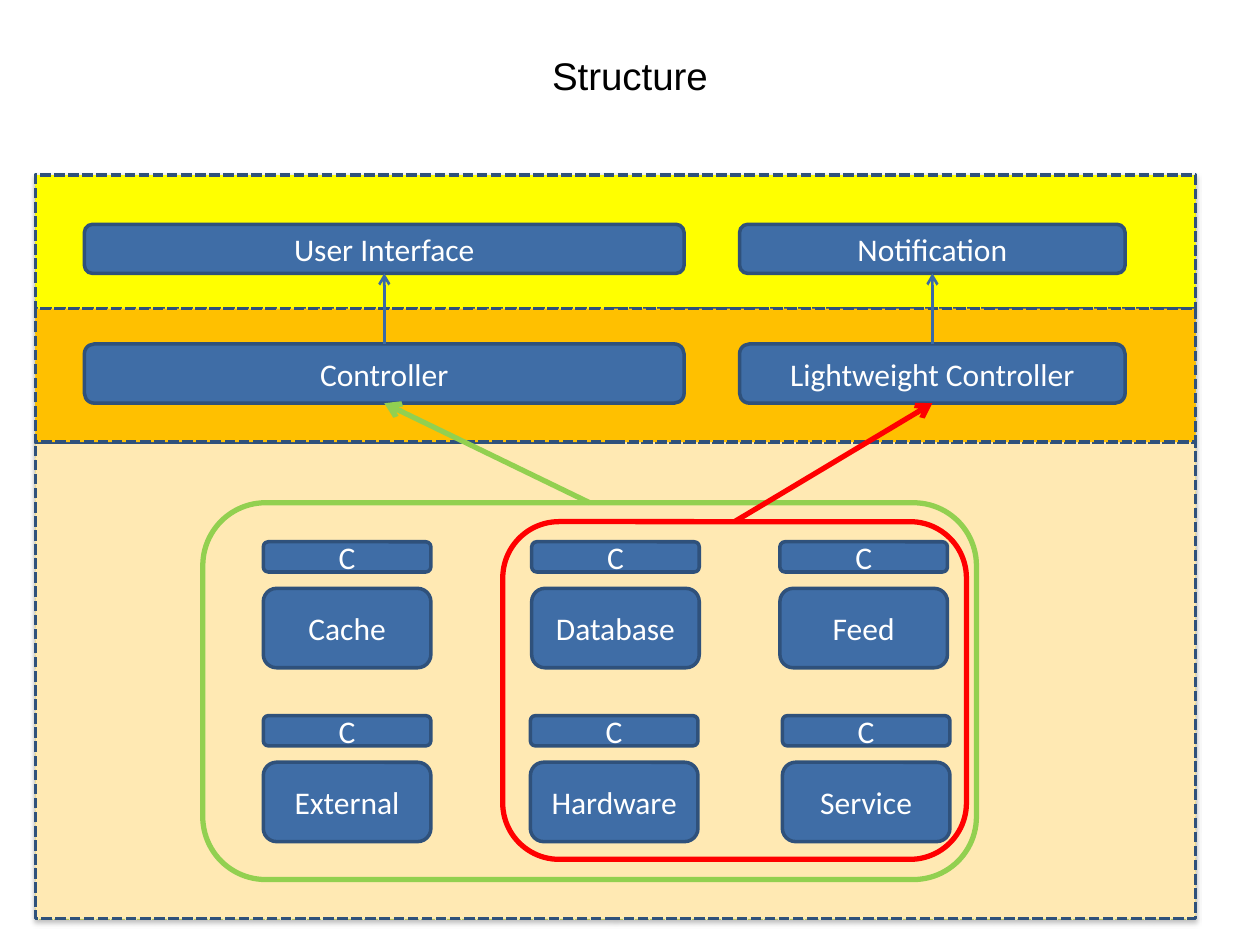
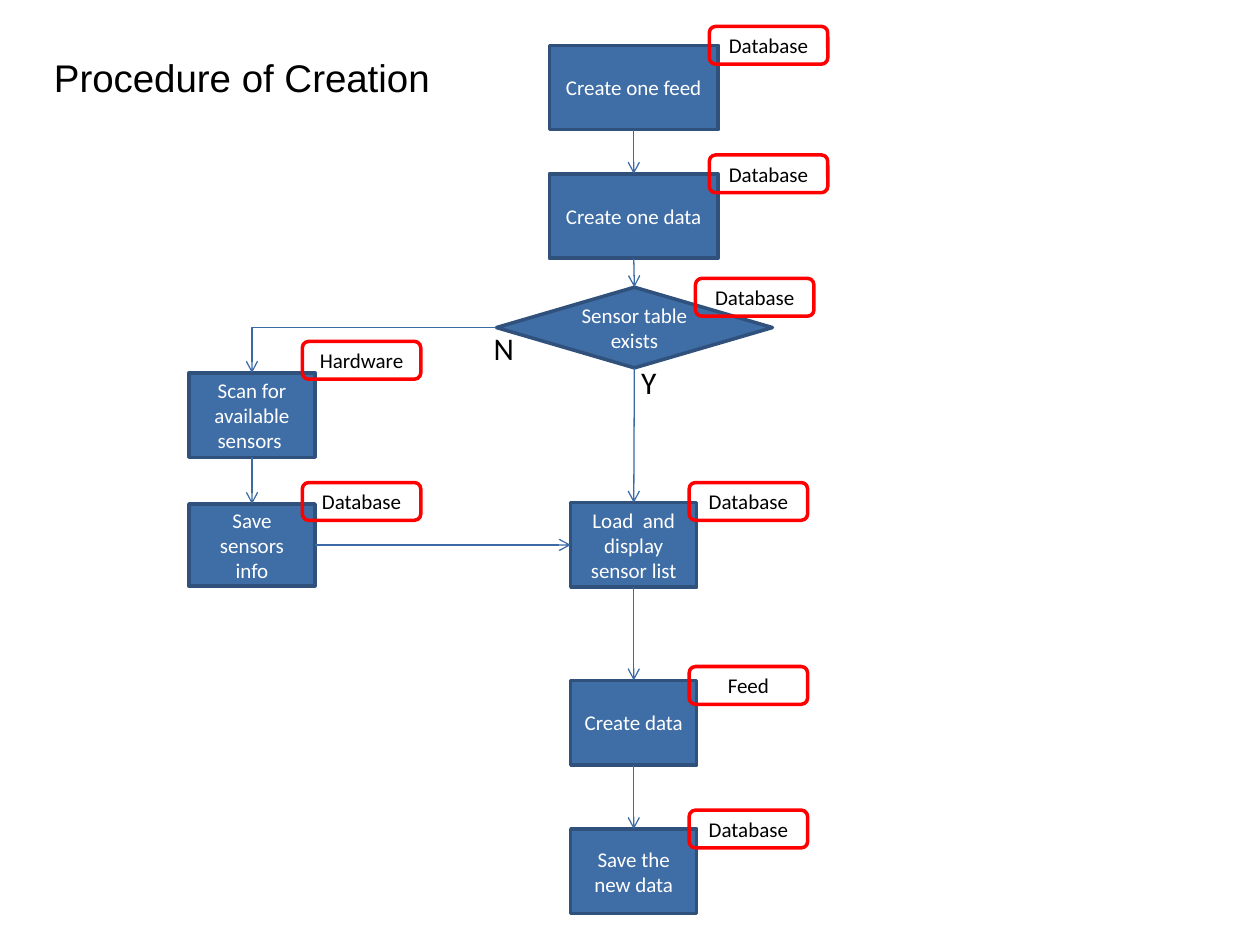
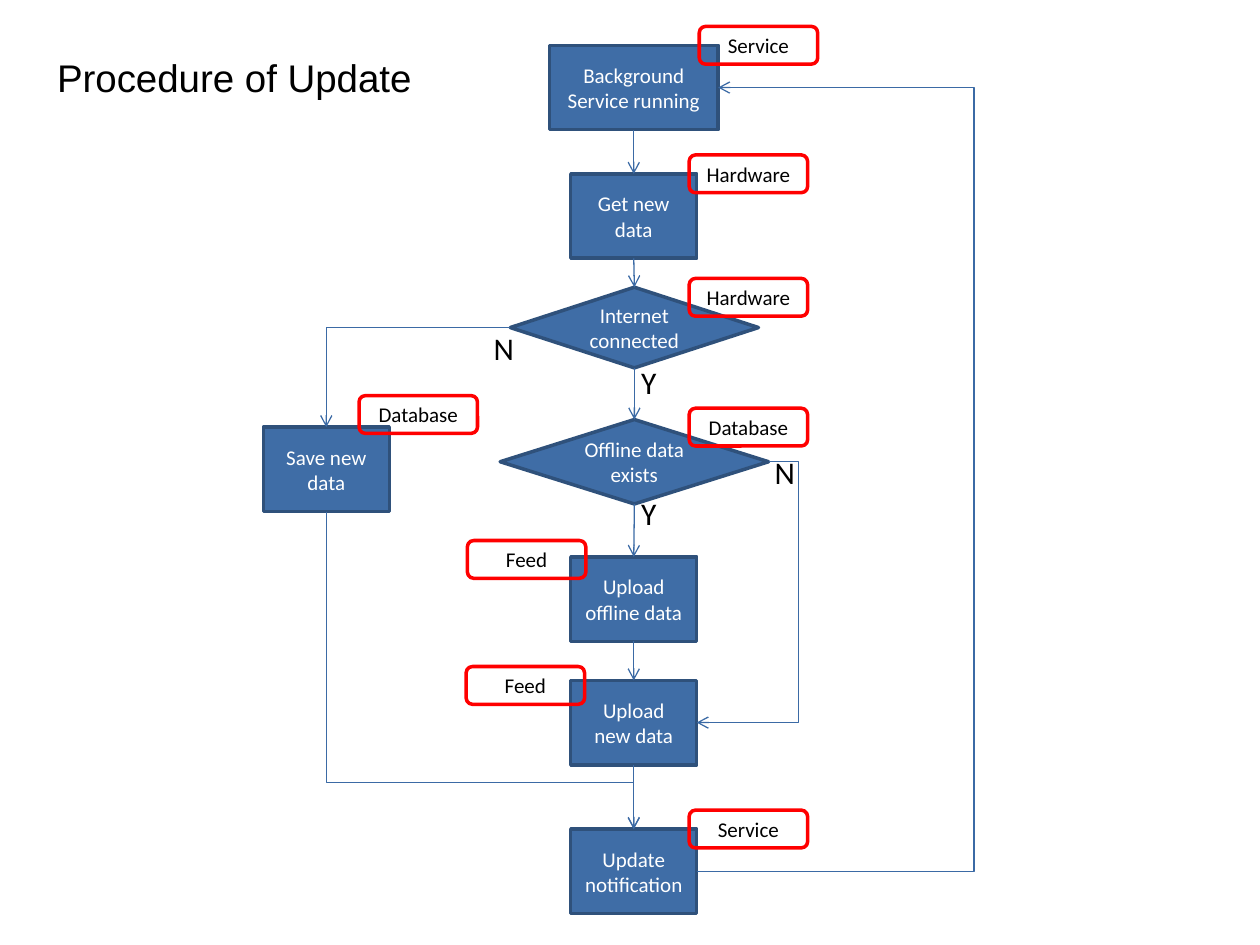
from dataclasses import dataclass
from typing import Optional

from lxml import etree
from pptx import Presentation
from pptx.dml.color import RGBColor
from pptx.enum.dml import MSO_LINE
from pptx.enum.shapes import MSO_CONNECTOR, MSO_SHAPE
from pptx.enum.text import MSO_ANCHOR, MSO_AUTO_SIZE, PP_ALIGN
from pptx.oxml.ns import qn
from pptx.util import Emu, Pt

PX = 9144
RECT, ROUND = MSO_SHAPE.RECTANGLE, MSO_SHAPE.ROUNDED_RECTANGLE
PROCESS, DECISION = MSO_SHAPE.FLOWCHART_PROCESS, MSO_SHAPE.FLOWCHART_DECISION
STRAIGHT, ELBOW = MSO_CONNECTOR.STRAIGHT, MSO_CONNECTOR.ELBOW
DASH = MSO_LINE.SQUARE_DOT
CENTER, LEFT = PP_ALIGN.CENTER, PP_ALIGN.LEFT
MIDDLE, TOP_ANCHOR = MSO_ANCHOR.MIDDLE, MSO_ANCHOR.TOP
FIT_SHAPE = MSO_AUTO_SIZE.SHAPE_TO_FIT_TEXT
TOP, LEFT_SIDE, BOTTOM, RIGHT_SIDE = range(4)

BLACK, WHITE = "000000", "FFFFFF"
BLUE, NAVY, ARROW_BLUE = "3F6DA6", "2F517B", "3B6AA5"
GREEN, RED = "92D050", "FF0000"
AXIS = 503


@dataclass(frozen=True)
class Style:
    fill: Optional[str] = None
    line: str = NAVY
    width: float = 2
    size: int = 12
    color: str = WHITE
    dashed: bool = False


@dataclass(frozen=True)
class Box:
    text: str
    x: int
    y: int
    w: int
    h: int
    kind: int = ROUND


@dataclass(frozen=True)
class Node:
    text: str
    y: int
    w: int = 100
    h: int = 67
    cx: int = AXIS
    kind: int = PROCESS


@dataclass(frozen=True)
class Link:
    start: str
    end: str
    sides: tuple = (BOTTOM, TOP)
    route: str = "straight"
    via: int = 0


@dataclass(frozen=True)
class Mark:
    text: str
    x: int
    y: int


@dataclass(frozen=True)
class Flow:
    title: str
    title_w: int
    nodes: list
    links: list
    tags: list
    answers: list


MODULE = Style(BLUE, size=18)
STEP = Style(BLUE)
TAG = Style(line=RED, color=BLACK)


def px(n: int) -> Emu:
    return Emu(n * PX)


def rgb(value: str) -> RGBColor:
    return RGBColor.from_string(value)


def write(tf, text: str, size: int, color: str, font: str = "Calibri",
          align=CENTER, anchor=MIDDLE) -> None:
    tf.text = text
    tf.vertical_anchor = anchor
    for p in tf.paragraphs:
        p.alignment = align
        for r in p.runs:
            r.font.size = Pt(size)
            r.font.name = font
            r.font.color.rgb = rgb(color)


def draw_box(s, box: Box, style: Style):
    sp = s.shapes.add_shape(box.kind, px(box.x), px(box.y), px(box.w), px(box.h))
    sp.shadow.inherit = False
    if style.fill:
        sp.fill.solid()
        sp.fill.fore_color.rgb = rgb(style.fill)
    else:
        sp.fill.background()
    sp.line.color.rgb = rgb(style.line)
    sp.line.width = Pt(style.width)
    if style.dashed:
        sp.line.dash_style = DASH
    if box.text:
        sp.text_frame.word_wrap = True
        write(sp.text_frame, box.text, style.size, style.color)
    return sp


def draw_title(s, text: str, x: int, y: int, w: int, h: int) -> None:
    tf = s.shapes.add_textbox(px(x), px(y), px(w), px(h)).text_frame
    tf.word_wrap = True
    write(tf, text, 22, BLACK, "Arial")


def draw_answer(s, mark: Mark) -> None:
    w = 36 if mark.text == "N" else 32
    tf = s.shapes.add_textbox(px(mark.x), px(mark.y), px(w), px(40)).text_frame
    tf.word_wrap = False
    tf.auto_size = FIT_SHAPE
    write(tf, mark.text, 18, BLACK, align=LEFT, anchor=TOP_ANCHOR)


def draw_arrow(s, start, end, sides=(BOTTOM, TOP), color: str = ARROW_BLUE,
               width: float = 0.75, kind=STRAIGHT):
    c = s.shapes.add_connector(kind, 0, 0, 0, 0)
    c.begin_connect(start, sides[0])
    c.end_connect(end, sides[1])
    c.line.color.rgb = rgb(color)
    c.line.width = Pt(width)
    etree.SubElement(c.line._get_or_add_ln(), qn("a:tailEnd"), type="arrow")
    etree.SubElement(c.element.spPr, qn("a:effectLst"))
    return c


def bend(c, route: str, via: int) -> None:
    geom = c.element.spPr.find(qn("a:prstGeom"))
    if route == "corner":
        geom.set("prst", "bentConnector2")
        return
    x1, y1, x2, y2 = c.begin_x, c.begin_y, c.end_x, c.end_y
    first, last = (y1, y2) if route == "vertical" else (x1, x2)
    ratio = round((px(via) - first) / (last - first) * 100000)
    guides = geom.find(qn("a:avLst"))
    if guides is None:
        guides = etree.SubElement(geom, qn("a:avLst"))
    etree.SubElement(guides, qn("a:gd"), name="adj1", fmla=f"val {ratio}")
    if route == "vertical":
        w, h = y2 - y1, x2 - x1
        c.left, c.top = Emu((x1 + x2 - w) // 2), Emu((y1 + y2 - h) // 2)
        c.width, c.height = Emu(w), Emu(h)
        xfrm = c.element.spPr.find(qn("a:xfrm"))
        xfrm.set("rot", "16200000")
        xfrm.set("flipH", "1")


def add_backdrop(s) -> None:
    sp = draw_box(s, Box("", 28, 139, 921, 591, RECT),
                  Style("FAFEA8", "B8BC5A", 0.75, dashed=True))
    fill = sp.element.spPr.find(qn("a:solidFill"))
    etree.SubElement(fill[0], qn("a:alpha"), val="70000")
    effects = sp.element.spPr.find(qn("a:effectLst"))
    shadow = etree.SubElement(effects, qn("a:outerShdw"), blurRad=str(Pt(3.1)),
                              dist=str(Pt(1.6)), dir="5400000", rotWithShape="0")
    tint = etree.SubElement(shadow, qn("a:srgbClr"), val=BLACK)
    etree.SubElement(tint, qn("a:alpha"), val="38000")


def build_structure(s) -> None:
    add_backdrop(s)
    for y, h, fill in ((351, 378, "FFE9B3"), (139, 106, "FFFF00"), (245, 106, "FFC000")):
        draw_box(s, Box("", 28, y, 921, h, RECT), Style(fill, dashed=True))
    draw_title(s, "Structure", 50, -3, 900, 125)

    for name, x, y in (("Cache", 209, 430), ("Database", 422, 430), ("Feed", 619, 430),
                       ("External", 209, 568), ("Hardware", 421, 568), ("Service", 621, 568)):
        draw_box(s, Box("C", x, y, 133, 24), MODULE)
        draw_box(s, Box(name, x, y + 37, 133, 63), MODULE)

    frames = (Box("", 161, 399, 614, 299), Box("", 399, 414, 368, 268))
    columns = ((67, 476, "User Interface", "Controller", GREEN),
               (587, 306, "Notification", "Lightweight Controller", RED))
    for frame, (x, w, view, controller, color) in zip(frames, columns):
        view_sp = draw_box(s, Box(view, x, 178, w, 39), MODULE)
        controller_sp = draw_box(s, Box(controller, x, 273, w, 47), MODULE)
        frame_sp = draw_box(s, frame, Style(line=color, width=3))
        draw_arrow(s, frame_sp, controller_sp, (TOP, BOTTOM), color, 3)
        draw_arrow(s, controller_sp, view_sp, (TOP, BOTTOM), width=1.5)


def build_flow(s, flow: Flow) -> None:
    draw_title(s, flow.title, 2, 0, flow.title_w, 123)
    steps = {}
    for n in flow.nodes:
        box = Box(n.text, n.cx - n.w // 2, n.y, n.w, n.h, n.kind)
        steps[n.text] = draw_box(s, box, STEP)
    for link in flow.links:
        kind = STRAIGHT if link.route == "straight" else ELBOW
        c = draw_arrow(s, steps[link.start], steps[link.end], link.sides, kind=kind)
        if kind == ELBOW:
            bend(c, link.route, link.via)
    for tag in flow.tags:
        draw_box(s, Box(tag.text, tag.x, tag.y, 94, 30), TAG)
    for answer in flow.answers:
        draw_answer(s, answer)


def chain(*names: str) -> list:
    return [Link(a, b) for a, b in zip(names, names[1:])]


SCAN = "Scan for available sensors "
LOAD = "Load  and display sensor list"

CREATION = Flow(
    "Procedure of Creation", 380,
    [Node("Create one feed", 36, 134),
     Node("Create one data", 138, 134),
     Node("Sensor table exists", 228, 219, 64, kind=DECISION),
     Node(LOAD, 399),
     Node("Create data", 540),
     Node("Save the new data", 658),
     Node(SCAN, 296, cx=200, kind=RECT),
     Node("Save sensors info", 400, h=65, cx=200)],
    chain("Create one feed", "Create one data", "Sensor table exists", LOAD,
          "Create data", "Save the new data")
    + chain(SCAN, "Save sensors info")
    + [Link("Sensor table exists", SCAN, (LEFT_SIDE, TOP), "corner"),
       Link("Save sensors info", LOAD, (RIGHT_SIDE, LEFT_SIDE))],
    [Mark("Database", 563, 21), Mark("Database", 563, 123), Mark("Database", 552, 221),
     Mark("Hardware", 240, 271), Mark("Database", 240, 383), Mark("Database", 547, 383),
     Mark("Feed", 547, 529), Mark("Database", 547, 643)],
    [Mark("N", 382, 256), Mark("Y", 499, 283)],
)

UPDATE = Flow(
    "Procedure of Update", 368,
    [Node("Background Service running", 36, 134),
     Node("Get new data", 138),
     Node("Internet connected", 228, 197, 64, kind=DECISION),
     Node("Offline data exists", 333, 213, kind=DECISION),
     Node("Upload offline data", 442),
     Node("Upload new data", 540),
     Node("Update notification", 658),
     Node("Save new data", 339, cx=259, kind=RECT)],
    chain("Background Service running", "Get new data", "Internet connected",
          "Offline data exists", "Upload offline data", "Upload new data",
          "Update notification")
    + [Link("Internet connected", "Save new data", (LEFT_SIDE, TOP), "corner"),
       Link("Offline data exists", "Upload new data", (RIGHT_SIDE, RIGHT_SIDE),
            "horizontal", 634),
       Link("Save new data", "Update notification", (BOTTOM, TOP), "vertical", 621),
       Link("Update notification", "Background Service running",
            (RIGHT_SIDE, RIGHT_SIDE), "horizontal", 773)],
    [Mark("Service", 555, 21), Mark("Hardware", 547, 123), Mark("Hardware", 547, 221),
     Mark("Database", 285, 314), Mark("Database", 547, 324), Mark("Feed", 371, 429),
     Mark("Feed", 370, 529), Mark("Service", 547, 643)],
    [Mark("N", 382, 256), Mark("Y", 499, 283), Mark("Y", 499, 387), Mark("N", 605, 355)],
)


def main() -> None:
    prs = Presentation()
    prs.slide_width, prs.slide_height = px(1000), px(750)
    blank = prs.slide_layouts[6]
    build_structure(prs.slides.add_slide(blank))
    for flow in (CREATION, UPDATE):
        build_flow(prs.slides.add_slide(blank), flow)
    prs.save("out.pptx")


if __name__ == "__main__":
    main()
